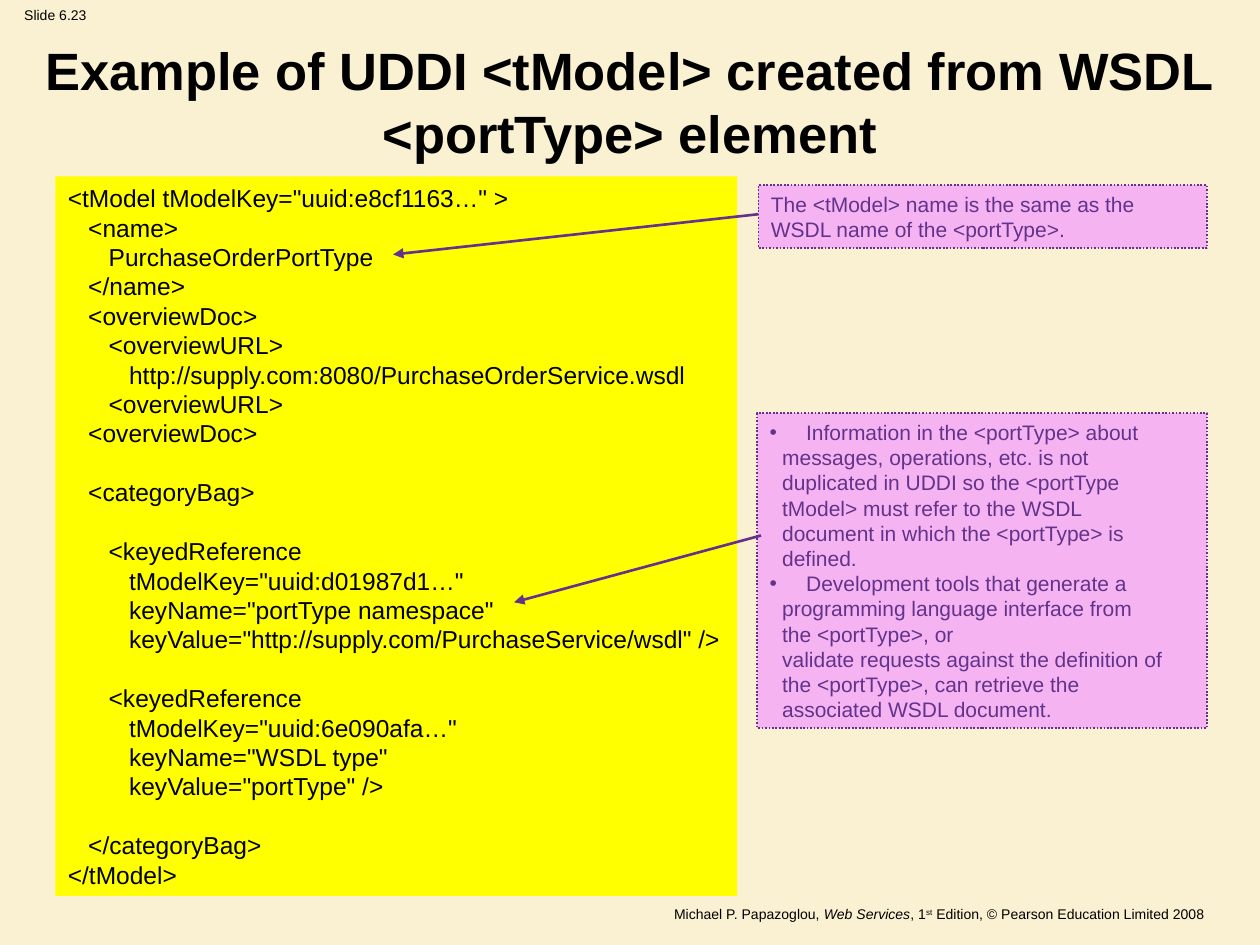
from lxml.etree import SubElement
from pptx import Presentation
from pptx.dml.color import RGBColor
from pptx.enum.dml import MSO_LINE_DASH_STYLE as Dash
from pptx.enum.shapes import MSO_CONNECTOR as Connector, MSO_SHAPE as Shape
from pptx.enum.text import MSO_ANCHOR as Anchor, MSO_AUTO_SIZE as AutoSize, PP_ALIGN as Align
from pptx.oxml.ns import qn
from pptx.util import Inches, Pt

COLORS = {"paper": "FAF0D2", "ink": "000000", "code": "FFFF00", "note": "F5B4F1", "accent": "62328C"}
FONT = "Arial"
COLUMNS, ROWS = 100, 75
LEADING = 1.2
CODE_SIZE, NOTE_SIZE = 14, 12
TITLE = "Example of UDDI <tModel> created from WSDL\v<portType> element"
SLIDE_LABEL = "Slide 6.23"
FOOTER = [
    ("Michael P. Papazoglou, ", {}),
    ("Web Services", {"italic": True}),
    (", 1", {}),
    ("st", {"baseline": 30000}),
    (" Edition, © Pearson Education Limited 2008", {}),
]
CODE = """<tModel tModelKey="uuid:e8cf1163…" >
   <name>
      PurchaseOrderPortType
   </name>
   <overviewDoc>
      <overviewURL>
         http://supply.com:8080/PurchaseOrderService.wsdl
      <overviewURL>
   <overviewDoc>

   <categoryBag>

      <keyedReference
         tModelKey="uuid:d01987d1…"
         keyName="portType namespace"
         keyValue="http://supply.com/PurchaseService/wsdl" />

      <keyedReference
         tModelKey="uuid:6e090afa…"
         keyName="WSDL type"
         keyValue="portType" />

   </categoryBag>
</tModel>"""
NAME_NOTE = "The <tModel> name is the same as the WSDL name of the <portType>."
TOOL_NOTES = [
    ("Information in the <portType> about",
     "messages, operations, etc. is not\vduplicated in UDDI so the <portType\v"
     "tModel> must refer to the WSDL\vdocument in which the <portType> is\vdefined."),
    ("Development tools that generate a",
     "programming language interface from\vthe <portType>, or\v"
     "validate requests against the definition of\v"
     "the <portType>, can retrieve the\vassociated WSDL document."),
]
PLACES = {
    "label": (0, 0, 8.8, 2.4),
    "footer": (2.4, 71.4, 94.2, 2.1),
    "code": (4.4, 14, 54.1, 57.1),
    "title": (1, 2.5, 98, 11),
    "name_note": (60.2, 14.7, 35.6, 5),
    "tool_notes": (60.1, 32.8, 35.7, 25),
}
ARROWS = [((60.2, 17), (31.2, 20.2)), ((60.4, 42.5), (40.8, 47.8))]

deck = Presentation()
deck.slide_width, deck.slide_height = Inches(10), Inches(7.5)
column, row = deck.slide_width / COLUMNS, deck.slide_height / ROWS
slide = deck.slides.add_slide(deck.slide_layouts[5])


def color(name):
    return RGBColor.from_string(COLORS[name])


def place(name):
    left, top, width, height = PLACES[name]
    return [round(n) for n in (left * column, top * row, width * column, height * row)]


def write(box, paragraphs, size, ink="ink", bold=False, align=Align.LEFT, anchor=Anchor.TOP, wrap=True):
    frame = box.text_frame
    frame.auto_size, frame.word_wrap, frame.vertical_anchor = AutoSize.NONE, wrap, anchor
    frame.margin_left = frame.margin_right = Inches(0.1)
    frame.margin_top = frame.margin_bottom = Inches(0.05)
    for index, (content, options) in enumerate(paragraphs):
        para = frame.add_paragraph() if index else frame.paragraphs[0]
        margin = options.get("margin", 0)
        properties = para._p.get_or_add_pPr()
        properties.set("marL", str(Inches(margin)))
        properties.set("indent", str(-Inches(margin) if options.get("bullet") else 0))
        if options.get("bullet"):
            SubElement(properties, qn("a:buFont"), typeface=FONT)
            SubElement(properties, qn("a:buChar"), char="•")
        para.alignment, para.line_spacing = align, Pt(size * LEADING)
        para.space_before, para.space_after = Pt(options.get("before", 0)), Pt(0)
        font = para.font
        font.name, font.size, font.bold = FONT, Pt(size), bold
        font.color.rgb = color(ink)
        if isinstance(content, str):
            para.text = content
            spans = [(span, {}) for span in para.runs]
        else:
            spans = [(para.add_run(), style) for text, style in content]
            for (span, style), (text, _) in zip(spans, content):
                span.text = text
        for span, style in spans:
            span.font.name, span.font.size, span.font.bold = FONT, Pt(size), bold
            span.font.italic = style.get("italic", False)
            span.font.color.rgb = color(ink)
            if "baseline" in style:
                span._r.get_or_add_rPr().set("baseline", str(style["baseline"]))


def panel(name, fill, dotted=False):
    box = slide.shapes.add_shape(Shape.RECTANGLE, *place(name))
    box.shadow.inherit = False
    box.fill.solid()
    box.fill.fore_color.rgb = color(fill)
    if dotted:
        box.line.color.rgb = color("accent")
        box.line.width, box.line.dash_style = Pt(1), Dash.ROUND_DOT
    else:
        box.line.fill.background()
    return box


def arrow(start, end):
    points = [round(n) for x, y in (start, end) for n in (x * column, y * row)]
    line = slide.shapes.add_connector(Connector.STRAIGHT, *points)
    line.line.color.rgb, line.line.width = color("accent"), Pt(1.5)
    SubElement(line.line._get_or_add_ln(), qn("a:tailEnd"), type="triangle")
    SubElement(line._element.spPr, qn("a:effectLst"))


def code_paragraphs():
    gap = 0
    for line in CODE.splitlines():
        if line:
            yield line, {"before": gap}
            gap = 0
        else:
            gap = CODE_SIZE * LEADING


slide.background.fill.solid()
slide.background.fill.fore_color.rgb = color("paper")

write(slide.shapes.add_textbox(*place("label")), [(SLIDE_LABEL, {})], 8, align=Align.CENTER, wrap=False)
write(slide.shapes.add_textbox(*place("footer")), [(FOOTER, {})], 8, align=Align.RIGHT)
write(panel("code", "code"), code_paragraphs(), CODE_SIZE, anchor=Anchor.MIDDLE)

title = slide.shapes.title
title.left, title.top, title.width, title.height = place("title")
write(title, [(TITLE, {})], 30, bold=True, align=Align.CENTER)

write(panel("name_note", "note", dotted=True), [(NAME_NOTE, {})], NOTE_SIZE, ink="accent")
tool_paragraphs = []
for lead, rest in TOOL_NOTES:
    tool_paragraphs += [(lead, {"margin": 0.29, "bullet": True}), (rest, {"margin": 0.1})]
write(panel("tool_notes", "note", dotted=True), tool_paragraphs, NOTE_SIZE, ink="accent")

for start, end in ARROWS:
    arrow(start, end)

deck.save("out.pptx")
